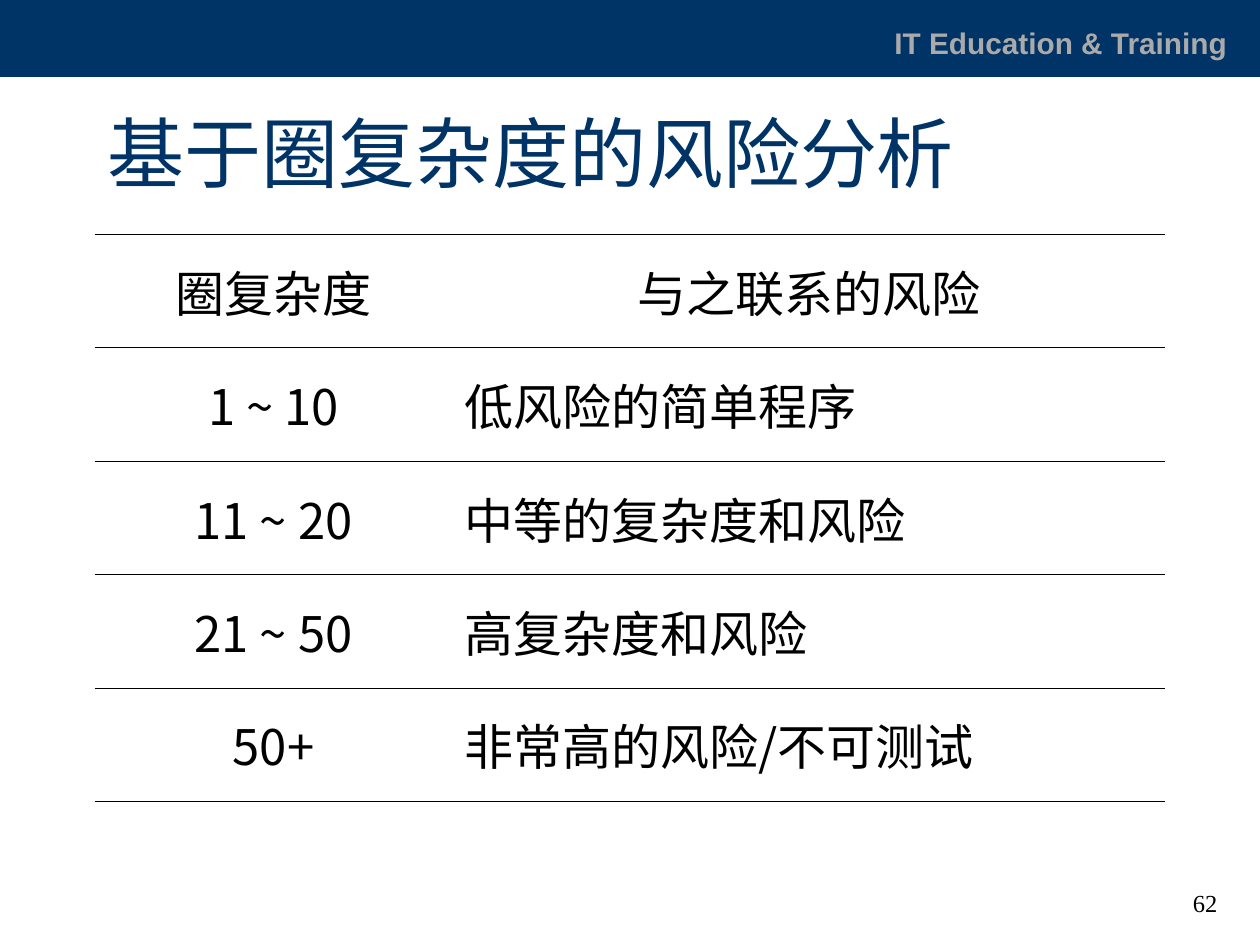
from lxml.etree import SubElement
from pptx import Presentation
from pptx.dml.color import RGBColor
from pptx.enum.shapes import MSO_SHAPE as Shape
from pptx.enum.text import MSO_ANCHOR as Anchor, PP_ALIGN as Align
from pptx.oxml.ns import qn
from pptx.util import Inches, Pt

NAVY, GREY, BLACK = "003366", "AAAAAA", "000000"
CJK_FONT = "Noto Sans CJK SC"
THIN, THICK = 0.45, 1.08
ROWS = [
    ("圈复杂度", "与之联系的风险"),
    ("1 ~ 10", "低风险的简单程序"),
    ("11 ~ 20", "中等的复杂度和风险"),
    ("21 ~ 50", "高复杂度和风险"),
    ("50+", "非常高的风险/不可测试"),
]
COLUMN_WIDTHS = (2.84, 5.66)
ROW_HEIGHT = 0.9


def color(hex_text):
    return RGBColor.from_string(hex_text)


def write_text(frame, text, size, font=CJK_FONT, fill=BLACK, bold=False, align=Align.LEFT):
    paragraph = frame.paragraphs[0]
    paragraph.alignment = align
    run = paragraph.add_run()
    run.text = text
    run.font.size = Pt(size)
    run.font.bold = bold
    run.font.name = font
    run.font.color.rgb = color(fill)
    SubElement(run.font._element, qn("a:ea"), typeface=font)


def add_band(slide):
    band = slide.shapes.add_shape(Shape.RECTANGLE, 0, 0, Inches(10), Inches(0.61))
    band.shadow.inherit = False
    band.fill.solid()
    band.fill.fore_color.rgb = color(NAVY)
    band.line.fill.background()


def add_label(slide, text, left, top, width, height, size, **text_format):
    box = slide.shapes.add_textbox(Inches(left), Inches(top), Inches(width), Inches(height))
    box.text_frame.word_wrap = True
    write_text(box.text_frame, text, size, **text_format)


def set_title(slide, text):
    title = slide.shapes.title
    title.left, title.top = Inches(0.75), Inches(0.68)
    title.width, title.height = Inches(8.5), Inches(1.04)
    title.text_frame.vertical_anchor = Anchor.MIDDLE
    write_text(title.text_frame, text, 44, fill=NAVY)


def set_borders(cell, top, bottom):
    """Rule the cell above and below with these point widths, leaving its sides open."""
    properties = cell._tc.get_or_add_tcPr()
    for side, width in (("L", 0), ("R", 0), ("T", top), ("B", bottom)):
        line = SubElement(properties, qn(f"a:ln{side}"), w=str(Pt(width)))
        if width:
            fill = SubElement(line, qn("a:solidFill"))
            SubElement(fill, qn("a:srgbClr"), val=BLACK)
        else:
            SubElement(line, qn("a:noFill"))


def add_risk_table(slide):
    frame = slide.shapes.add_table(
        len(ROWS), len(COLUMN_WIDTHS), Inches(0.75), Inches(1.86),
        Inches(sum(COLUMN_WIDTHS)), Inches(ROW_HEIGHT * len(ROWS)))
    table = frame.table
    table.first_row = table.horz_banding = False
    for column, width in zip(table.columns, COLUMN_WIDTHS):
        column.width = Inches(width)
    last = len(ROWS) - 1
    for row_index, texts in enumerate(ROWS):
        table.rows[row_index].height = Inches(ROW_HEIGHT)
        for column_index, text in enumerate(texts):
            cell = table.cell(row_index, column_index)
            cell.vertical_anchor = Anchor.MIDDLE
            set_borders(cell, THICK if row_index == 0 else THIN,
                        THICK if row_index == last else THIN)
            cell.fill.background()
            centred = row_index == 0 or column_index == 0
            write_text(cell.text_frame, text, 28,
                       align=Align.CENTER if centred else Align.LEFT)


def main():
    presentation = Presentation()
    presentation.slide_width, presentation.slide_height = Inches(10), Inches(7.5)
    slide = presentation.slides.add_slide(presentation.slide_layouts[5])
    add_band(slide)
    add_label(slide, "IT Education & Training", 7, 0.15, 2.93, 0.38, 17,
              font="Arial", fill=GREY, bold=True)
    add_label(slide, "62", 7.68, 7, 2.08, 0.5, 14,
              font="Times New Roman", align=Align.RIGHT)
    set_title(slide, "基于圈复杂度的风险分析")
    add_risk_table(slide)
    presentation.save("out.pptx")


if __name__ == "__main__":
    main()
